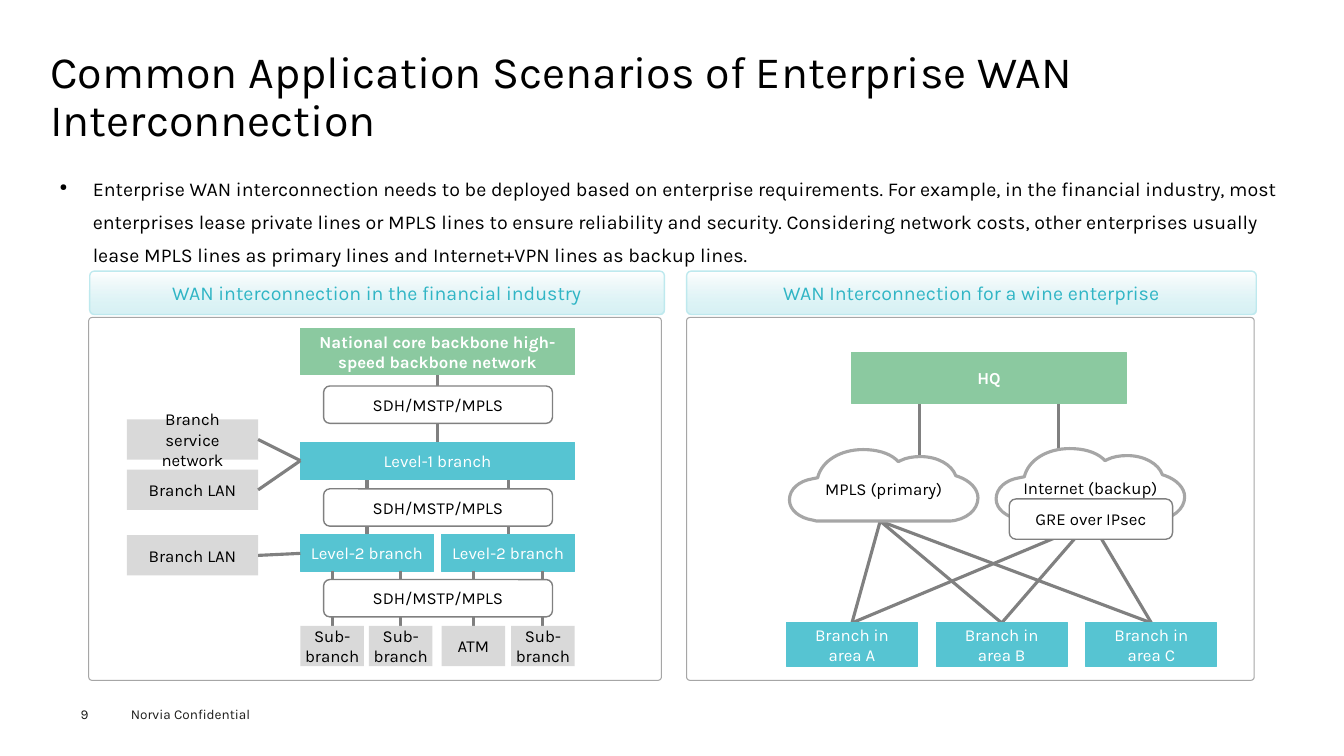
from lxml.etree import SubElement
from pptx import Presentation
from pptx.dml.color import RGBColor
from pptx.enum.shapes import MSO_CONNECTOR, MSO_SHAPE
from pptx.enum.text import MSO_ANCHOR, PP_ALIGN
from pptx.oxml.ns import qn
from pptx.util import Inches, Pt

COLORS = {
    "black": "000000", "white": "FFFFFF", "footer": "1D1D1B",
    "green": "8BC9A0", "blue": "56C4D2", "grey": "D9D9D9",
    "link": "808080", "frame": "A6A6A6", "pale": "BEE9EE", "heading": "30B5C5",
}
DEFAULT_INSETS = (0.1, 0.05, 0.1, 0.05)
NO_INSETS = (0, 0, 0, 0)
CLOUD_START = (0.73, 0)
CLOUD_OUTLINE = [
    (0.86, 0, 0.98, 0.03, 1.06, 0.1), (1.08, 0.12), (1.1, 0.11),
    (1.16, 0.08, 1.23, 0.07, 1.3, 0.07), (1.47, 0.07, 1.61, 0.15, 1.65, 0.26),
    (1.68, 0.27), (1.79, 0.31, 1.87, 0.39, 1.87, 0.48),
    (1.87, 0.6, 1.75, 0.7, 1.59, 0.71), (0.27, 0.71), (0.23, 0.7),
    (0.1, 0.68, 0, 0.6, 0, 0.5), (0, 0.39, 0.1, 0.31, 0.23, 0.29),
    (0.28, 0.28), (0.32, 0.11, 0.51, 0, 0.73, 0),
]


def rgb(name):
    """Return the named colour."""
    return RGBColor.from_string(COLORS[name])


def write(shape, text, size, color, bold=False, align=PP_ALIGN.CENTER,
          anchor=MSO_ANCHOR.MIDDLE, insets=DEFAULT_INSETS):
    """Put one styled paragraph into a shape and return it."""
    frame = shape.text_frame
    frame.word_wrap = True
    frame.vertical_anchor = anchor
    (frame.margin_left, frame.margin_top,
     frame.margin_right, frame.margin_bottom) = map(Inches, insets)
    paragraph = frame.paragraphs[0]
    paragraph.text = text
    paragraph.alignment = align
    font = paragraph.font
    font.name, font.size, font.bold = "Karla", Pt(size), bold
    font.color.rgb = rgb(color)
    return paragraph


def add_label(slide, area, text, size, color="black", insets=DEFAULT_INSETS):
    """Add left-aligned text without a frame and return its paragraph."""
    label = slide.shapes.add_textbox(*map(Inches, area))
    return write(label, text, size, color, align=PP_ALIGN.LEFT,
                 anchor=MSO_ANCHOR.TOP, insets=insets)


def add_bullet(paragraph):
    """Give a paragraph a small round bullet with a hanging indent."""
    properties = paragraph._p.get_or_add_pPr()
    properties.set("marL", str(Inches(0.33)))
    properties.set("indent", str(-Inches(0.33)))
    run_defaults = properties.find(qn("a:defRPr"))
    SubElement(properties, qn("a:buSzPct"), val="50000")
    SubElement(properties, qn("a:buChar"), char="●")
    properties.append(run_defaults)


def paint(shape, fill, line, width):
    """Set fill and outline, either of which may be absent."""
    shape.shadow.inherit = False
    if fill:
        shape.fill.solid()
        shape.fill.fore_color.rgb = rgb(fill)
    else:
        shape.fill.background()
    if line:
        shape.line.color.rgb = rgb(line)
        shape.line.width = Pt(width)
    else:
        shape.line.fill.background()


def add_node(slide, area, text, fill, color="white", bold=False, insets=DEFAULT_INSETS):
    """Add a rectangular network node."""
    node = slide.shapes.add_shape(MSO_SHAPE.RECTANGLE, *map(Inches, area))
    paint(node, fill, None if fill == "grey" else fill, 0.75)
    write(node, text, 12, color, bold, insets=insets)


def add_transport(slide, area, text):
    """Add a rounded white box naming a transport technology."""
    transport = slide.shapes.add_shape(MSO_SHAPE.ROUNDED_RECTANGLE, *map(Inches, area))
    paint(transport, "white", "link", 1)
    write(transport, text, 12, "black")


def add_link(slide, x1, y1, x2, y2):
    """Add a grey line between two nodes."""
    link = slide.shapes.add_connector(
        MSO_CONNECTOR.STRAIGHT, *map(Inches, (x1, y1, x2, y2)))
    link.line.color.rgb = rgb("link")
    link.line.width = Pt(2.25)
    SubElement(link.element.spPr, qn("a:effectLst"))


def add_panel(slide, left, frame_width, heading_width, heading_left, text):
    """Add a scenario frame with its gradient heading."""
    panel = slide.shapes.add_shape(
        MSO_SHAPE.ROUNDED_RECTANGLE, *map(Inches, (left, 3.15, frame_width, 3.6)))
    panel.adjustments[0] = 0.009
    paint(panel, None, "frame", 0.75)
    heading = slide.shapes.add_shape(
        MSO_SHAPE.ROUNDED_RECTANGLE, *map(Inches, (heading_left, 2.69, heading_width, 0.43)))
    heading.adjustments[0] = 0.106
    paint(heading, None, "pale", 1)
    heading.fill.gradient()
    heading.fill.gradient_angle = 270
    for stop, color in zip(heading.fill.gradient_stops, ("white", "pale")):
        stop.color.rgb = rgb(color)
    last_stop = heading.element.spPr.findall(".//" + qn("a:gs"))[-1]
    SubElement(last_stop[0], qn("a:alpha"), val="60000")
    write(heading, text, 14, "heading", insets=NO_INSETS)


def add_cloud(slide, left, top, text):
    """Add a labelled network cloud with curved edges."""
    corners = [CLOUD_START] + [step[-2:] for step in CLOUD_OUTLINE]
    start, *rest = [(Inches(left + x), Inches(top + y)) for x, y in corners]
    builder = slide.shapes.build_freeform(*start)
    builder.add_line_segments(rest, close=True)
    cloud = builder.convert_to_shape()
    edges = cloud.element.spPr.findall(".//" + qn("a:lnTo"))
    for edge, step in zip(edges, CLOUD_OUTLINE):
        if len(step) == 6:
            edge.tag = qn("a:cubicBezTo")
            edge.remove(edge[0])
            for x, y in zip(step[::2], step[1::2]):
                SubElement(edge, qn("a:pt"), x=str(Inches(x)), y=str(Inches(y)))
    paint(cloud, "white", "frame", 2.25)
    write(cloud, text, 12, "black", insets=(0.1, 0.12, 0.1, 0.05))


def add_financial_network(slide):
    """Draw the layered network of the financial industry."""
    outlets = zip((2.98, 3.66, 4.38, 5.07),
                  ("Sub-branch", "Sub-branch", "ATM", "Sub-branch"))
    add_link(slide, 4.34, 3.72, 4.34, 4.39)
    for left in (2.98, 4.38):
        add_link(slide, left + 0.66, 4.76, left + 0.66, 5.3)
        add_node(slide, (left, 5.3, 1.32, 0.37), "Level-2 branch", "blue")
    for left, name in outlets:
        add_link(slide, left + 0.315, 5.66, left + 0.315, 6.21)
        add_node(slide, (left, 6.21, 0.63, 0.4), name, "grey", "black",
                 insets=(0.04, 0.05, 0.04, 0.05))
    add_node(slide, (2.98, 3.26, 2.72, 0.46),
             "National core backbone high-speed backbone network", "green", bold=True)
    add_node(slide, (2.98, 4.39, 2.72, 0.37), "Level-1 branch", "blue")
    for top, name, branch_y in ((4.16, "Branch service network", 4.57),
                                (4.66, "Branch LAN", 4.57),
                                (5.31, "Branch LAN", 5.49)):
        add_node(slide, (1.26, top, 1.3, 0.4), name, "grey", "black")
        add_link(slide, 2.98, branch_y, 2.56, top + 0.2)
    for top in (3.83, 4.85, 5.75):
        add_transport(slide, (3.21, top, 2.27, 0.37), "SDH/MSTP/MPLS")


def add_wine_network(slide):
    """Draw the primary and backup networks of the wine enterprise."""
    add_link(slide, 9.12, 3.76, 9.12, 4.53)
    add_link(slide, 10.5, 4, 10.5, 4.7)
    for i, (area, backup_x) in enumerate((("A", 10.86), ("B", 10.81), ("C", 10.82))):
        left = 7.8 + 1.485 * i
        for source_x in (8.73, backup_x):
            add_link(slide, source_x, 5.17, left + 0.65, 6.18)
        add_node(slide, (left, 6.18, 1.3, 0.43), f"Branch in area {area}", "blue",
                 insets=(0.13, 0.05, 0.13, 0.05))
    add_cloud(slide, 9.88, 4.45, "Internet (backup)")
    add_cloud(slide, 7.83, 4.46, "MPLS (primary)")
    add_transport(slide, (10.01, 4.95, 1.62, 0.4), "GRE over IPsec")
    add_node(slide, (8.45, 3.5, 2.72, 0.5), "HQ", "green", bold=True)


def main():
    """Build and save the slide."""
    deck = Presentation()
    deck.slide_width, deck.slide_height = Inches(13.33), Inches(7.5)
    slide = deck.slides.add_slide(deck.slide_layouts[6])
    add_label(slide, (1.2, 6.95, 1.6, 0.27), "Norvia Confidential", 9.7, "footer")
    add_label(slide, (0.8, 7, 0.55, 0.16), "9", 9.7, "footer", NO_INSETS)
    title = add_label(slide, (0.5, 0.49, 12.35, 1.1),
                      "Common Application Scenarios of Enterprise WAN Interconnection",
                      32, insets=NO_INSETS)
    title.line_spacing = 0.9
    summary = add_label(
        slide, (0.5, 1.62, 12.35, 4.86),
        "Enterprise WAN interconnection needs to be deployed based on enterprise "
        "requirements. For example, in the financial industry, most enterprises lease "
        "private lines or MPLS lines to ensure reliability and security. Considering "
        "network costs, other enterprises usually lease MPLS lines as primary lines and "
        "Internet+VPN lines as backup lines.", 14, insets=(0.09, 0.04, 0.09, 0.04))
    summary.line_spacing = 1.4
    add_bullet(summary)
    add_panel(slide, 0.88, 5.68, 5.7, 0.89, "WAN interconnection in the financial industry")
    add_panel(slide, 6.81, 5.63, 5.65, 6.81, "WAN Interconnection for a wine enterprise")
    add_financial_network(slide)
    add_wine_network(slide)
    deck.save("out.pptx")


if __name__ == "__main__":
    main()
